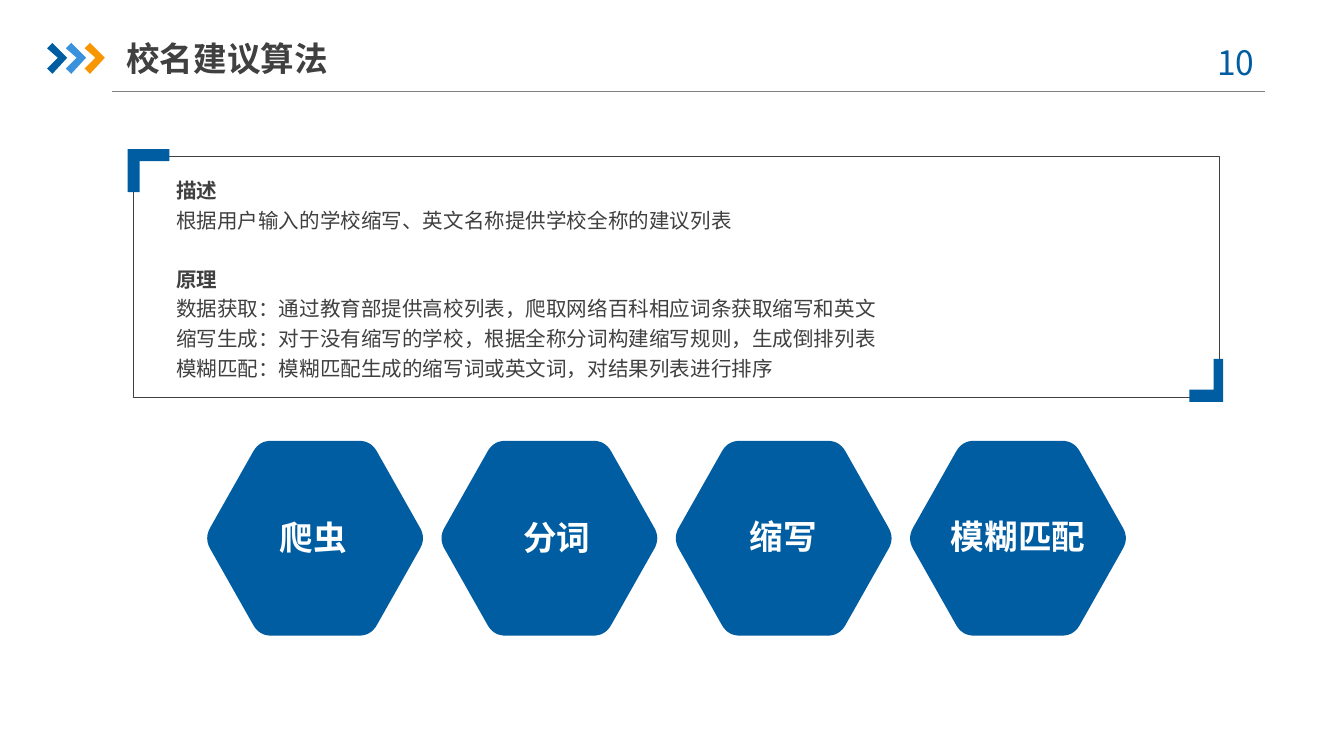
from dataclasses import dataclass

import pptx
import pptx.dml.color
import pptx.enum.shapes
import pptx.enum.text
import pptx.oxml
import pptx.oxml.ns
import pptx.util
from pptx.util import Inches

ALIGN = pptx.enum.text.PP_ALIGN
ANCHOR = pptx.enum.text.MSO_ANCHOR


@dataclass(frozen=True)
class Theme:
    blue: str = "005DA2"
    sky: str = "3992DB"
    orange: str = "F79600"
    ink: str = "404040"
    rule: str = "808080"
    white: str = "FFFFFF"
    latin: str = "Arial"
    cjk: str = "Noto Sans CJK SC"
    heading: float = 18
    body: float = 11


THEME = Theme()

DESCRIPTION = [
    ("描述", ["根据用户输入的学校缩写、英文名称提供学校全称的建议列表"]),
    ("原理", [
        "数据获取：通过教育部提供高校列表，爬取网络百科相应词条获取缩写和英文",
        "缩写生成：对于没有缩写的学校，根据全称分词构建缩写规则，生成倒排列表",
        "模糊匹配：模糊匹配生成的缩写词或英文词，对结果列表进行排序",
    ]),
]
STEPS = [
    ("爬虫", 0.26, 0.57, 1.06),
    ("分词", 0.33, 0.57, 1.06),
    ("缩写", 0.24, 0.56, 1.12),
    ("模糊匹配", 0.3, 0.56, 1.01),
]


def rgb(value):
    return pptx.dml.color.RGBColor.from_string(value)


def place(shape, left, top, width, height):
    shape.left, shape.top = Inches(left), Inches(top)
    shape.width, shape.height = Inches(width), Inches(height)


def write(paragraph, text, size=THEME.heading, color=THEME.ink, bold=False,
          font=THEME.latin, align=ALIGN.LEFT, spacing=None, before=0):
    paragraph.alignment = align
    if spacing:
        paragraph.line_spacing = spacing
    if before:
        paragraph.space_before = pptx.util.Pt(before)
    run = paragraph.add_run()
    run.text = text
    run.font.size = pptx.util.Pt(size)
    run.font.bold = bold
    run.font.name = font
    run.font.color.rgb = rgb(color)
    east_asian = pptx.oxml.parse_xml(
        f'<a:ea {pptx.oxml.ns.nsdecls("a")} typeface="{THEME.cjk}"/>')
    run.font._element.find(pptx.oxml.ns.qn("a:latin")).addnext(east_asian)


def set_frame(frame, inset_x=0, inset_y=0, anchor=ANCHOR.TOP):
    frame.word_wrap = True
    frame.auto_size = pptx.enum.text.MSO_AUTO_SIZE.NONE
    frame.vertical_anchor = anchor
    frame.margin_left = frame.margin_right = Inches(inset_x)
    frame.margin_top = frame.margin_bottom = Inches(inset_y)
    return frame


def add_text_frame(slide, left, top, width, height, **insets):
    box = slide.shapes.add_textbox(
        Inches(left), Inches(top), Inches(width), Inches(height))
    return set_frame(box.text_frame, **insets)


def add_polygon(slide, left, top, points, color):
    corners = [(Inches(left + x), Inches(top + y)) for x, y in points]
    builder = slide.shapes.build_freeform(*corners[0])
    builder.add_line_segments(corners[1:], close=True)
    polygon = builder.convert_to_shape()
    polygon.shadow.inherit = False
    polygon.fill.solid()
    polygon.fill.fore_color.rgb = rgb(color)
    polygon.line.fill.background()


def add_header(slide, left, top, width, height):
    underline = slide.shapes.add_connector(
        pptx.enum.shapes.MSO_CONNECTOR.STRAIGHT,
        Inches(left + 0.48), Inches(top + height),
        Inches(left + width), Inches(top + height))
    underline.line.color.rgb = rgb(THEME.rule)
    underline.line.width = pptx.util.Pt(0.75)
    underline._element.spPr.append(pptx.oxml.parse_xml(
        f'<a:effectLst {pptx.oxml.ns.nsdecls("a")}/>'))

    chevron = [(0, 0.04), (0.04, 0), (0.15, 0.11), (0.04, 0.23),
               (0, 0.19), (0.08, 0.11)]
    for index, color in enumerate((THEME.blue, THEME.sky, THEME.orange)):
        add_polygon(slide, left + 0.14 * index, top + 0.1, chevron, color)

    page_number = add_text_frame(
        slide, left + width - 0.58, top + 0.04, 0.73, 0.4,
        inset_x=0.1, inset_y=0.05)
    write(page_number.paragraphs[0], "10", color=THEME.blue,
          font=THEME.cjk, align=ALIGN.CENTER)

    title = slide.shapes.title
    place(title, left + 0.59, top, 2.33, 0.42)
    frame = set_frame(title.text_frame, inset_y=0.05, anchor=ANCHOR.MIDDLE)
    write(frame.paragraphs[0], "校名建议算法", bold=True)


def add_bracket(slide, left, top, width, height, thick_x, thick_y, flip=False):
    points = [(0, 0), (width, 0), (width, thick_y), (thick_x, thick_y),
              (thick_x, height), (0, height)]
    if flip:
        points = [(width - x, height - y) for x, y in points]
    add_polygon(slide, left, top, points, THEME.blue)


def add_description(slide, left, top, width, height):
    panel = slide.shapes.add_shape(
        pptx.enum.shapes.MSO_SHAPE.RECTANGLE,
        Inches(left), Inches(top), Inches(width), Inches(height))
    panel.shadow.inherit = False
    panel.fill.background()
    panel.line.color.rgb = rgb(THEME.ink)
    panel.line.width = pptx.util.Pt(0.25)

    frame = add_text_frame(slide, left + 0.32, top + 0.13, 7.38, 1.54)
    style = dict(size=THEME.body, align=ALIGN.JUSTIFY, spacing=1.2)
    for index, (heading, lines) in enumerate(DESCRIPTION):
        first = index == 0
        paragraph = frame.paragraphs[0] if first else frame.add_paragraph()
        write(paragraph, heading, bold=True, before=0 if first else 15.8, **style)
        for line in lines:
            write(frame.add_paragraph(), line, **style)

    add_bracket(slide, left - 0.04, top - 0.05, 0.31, 0.32, 0.09, 0.09)
    add_bracket(slide, left + width - 0.22, top + height - 0.29,
                0.25, 0.32, 0.07, 0.09, flip=True)


def rounded_hexagon(width, height, overhang=0.02, shoulder=0.39, cut=0.09, steps=8):
    corners = [(-overhang, height / 2), (shoulder, 0), (width - shoulder, 0),
               (width + overhang, height / 2), (width - shoulder, height),
               (shoulder, height)]

    def toward(start, end):
        dx, dy = end[0] - start[0], end[1] - start[1]
        ratio = cut / (dx ** 2 + dy ** 2) ** 0.5
        return start[0] + dx * ratio, start[1] + dy * ratio

    outline = []
    for index, corner in enumerate(corners):
        entry = toward(corner, corners[index - 1])
        leave = toward(corner, corners[(index + 1) % len(corners)])
        for step in range(steps + 1):
            t = step / steps
            outline.append(tuple(
                (1 - t) ** 2 * a + 2 * t * (1 - t) * b + t ** 2 * c
                for a, b, c in zip(entry, corner, leave)))
    return outline


def add_steps(slide, left, top, width, height):
    hexagon_width = 1.61
    pitch = (width - hexagon_width) / (len(STEPS) - 1)
    outline = rounded_hexagon(hexagon_width, height)
    for index, (label, label_x, label_y, label_width) in enumerate(STEPS):
        step_left = left + index * pitch
        add_polygon(slide, step_left, top, outline, THEME.blue)
        frame = add_text_frame(
            slide, step_left + label_x, top + label_y, label_width, 0.3)
        write(frame.paragraphs[0], label, color=THEME.white, bold=True,
              align=ALIGN.CENTER)


def main():
    deck = pptx.Presentation()
    deck.slide_width = Inches(10)
    deck.slide_height = deck.slide_width * 9 // 16
    slide = deck.slides.add_slide(deck.slide_layouts[5])
    add_header(slide, 0.35, 0.22, 9.06, 0.46)
    add_description(slide, 0.99, 1.16, 8.08, 1.8)
    add_steps(slide, 1.54, 3.28, 6.84, 1.45)
    deck.save("out.pptx")


if __name__ == "__main__":
    main()
